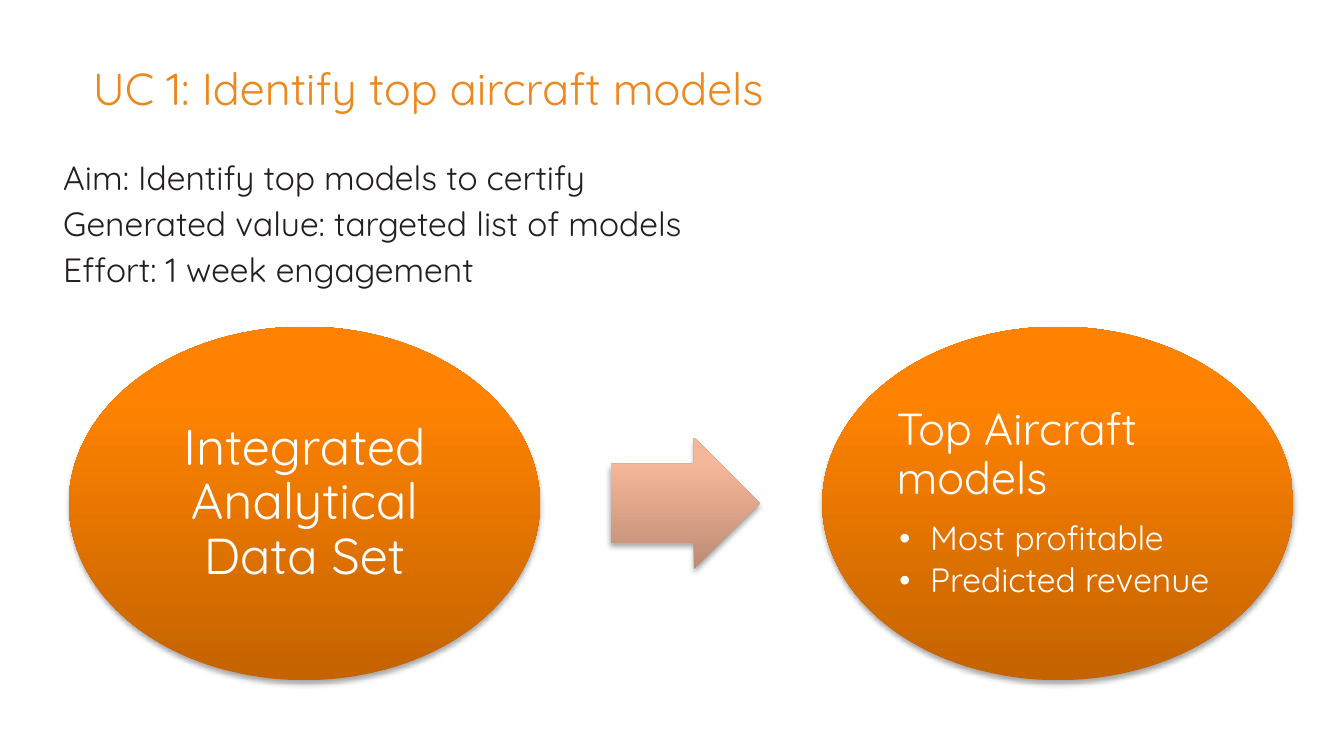
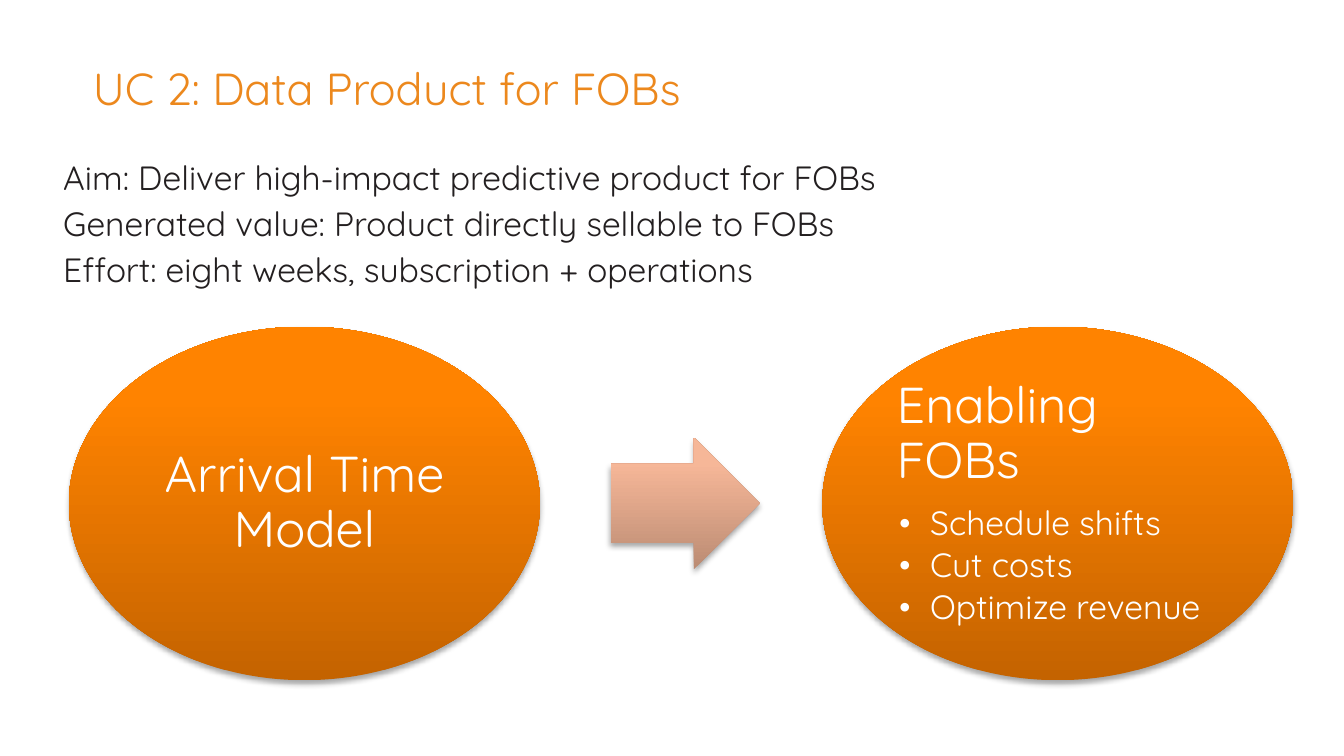
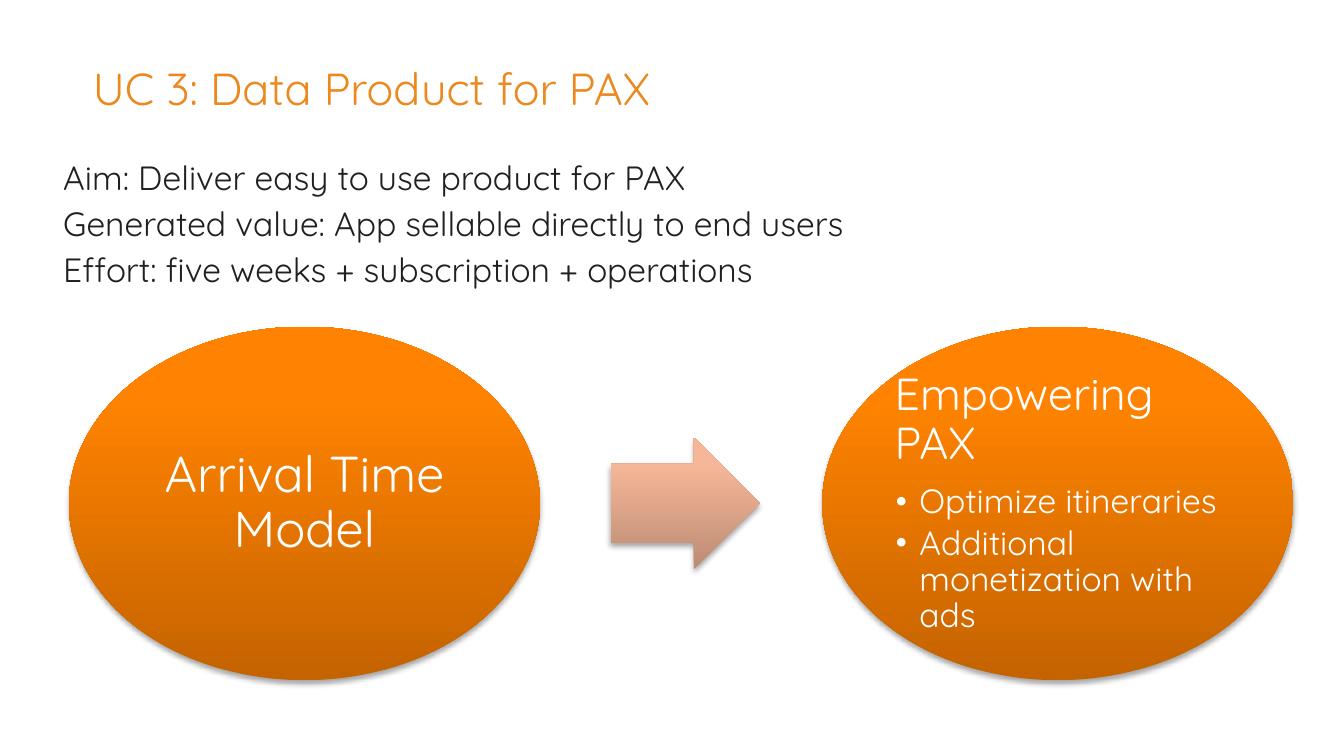
from dataclasses import dataclass
from math import sqrt

from lxml.etree import SubElement
from pptx import Presentation
from pptx.dml.color import RGBColor as Rgb
from pptx.enum.shapes import MSO_SHAPE as Shape
from pptx.enum.text import MSO_ANCHOR as Anchor, PP_ALIGN as Align
from pptx.oxml.ns import qn
from pptx.util import Pt


@dataclass(frozen=True)
class Theme:
    font: str = "Quicksand"
    heading: str = "EC881D"
    body: str = "231F20"
    on_fill: str = "FFFFFF"
    shadow: str = "000000"
    ellipse: tuple = ((0, "C46300"), (80, "FF8300"), (100, "FF8400"))
    arrow: tuple = ((0, "BB8B73"), (80, "F6B798"), (100, "F9B797"))
    title_size: int = 24
    text_size: int = 18
    label_size: int = 27


@dataclass(frozen=True)
class BulletStyle:
    margin: float
    hang: float
    first_gap: float
    next_gap: float


@dataclass(frozen=True)
class UseCase:
    title: str
    facts: tuple
    source: str
    outcome: str
    benefits: tuple
    outcome_size: int = Theme.label_size
    inset: float = 2.9
    bullets: BulletStyle = BulletStyle(18, 16.6, 9.4, 3.1)


THEME = Theme()

# Regions as left, top, width, height in points
SLIDE_SIZE = (720, 405)
TITLE_BOX = (42.7, 31, 570, 27.4)
FACTS_BOX = (26.8, 82.2, 478, 58.3)
FLOW_BOX = (36.9, 175, 656, 189.4)

USE_CASES = (
    UseCase(
        "UC 1: Identify top aircraft models",
        ("Aim: Identify top models to certify",
         "Generated value: targeted list of models",
         "Effort: 1 week engagement"),
        "Integrated Analytical Data Set",
        "Top Aircraft models",
        ("Most profitable", "Predicted revenue"),
        outcome_size=24,
    ),
    UseCase(
        "UC 2: Data Product for FOBs",
        ("Aim: Deliver high-impact predictive product for FOBs",
         "Generated value: Product directly sellable to FOBs",
         "Effort: eight weeks, subscription + operations"),
        "Arrival Time Model",
        "Enabling \nFOBs",
        ("Schedule shifts", "Cut costs", "Optimize revenue"),
    ),
    UseCase(
        "UC 3: Data Product for PAX",
        ("Aim: Deliver easy to use product for PAX",
         "Generated value: App sellable directly to end users",
         "Effort: five weeks + subscription + operations"),
        "Arrival Time Model",
        "Empowering \nPAX",
        ("Optimize itineraries", "Additional monetization with ads"),
        outcome_size=24,
        inset=1.8,
        bullets=BulletStyle(13.3, 12.8, 8.4, 2.9),
    ),
)


def points(box):
    return [Pt(length) for length in box]


def add_frame(shapes, box, inset_x=7.2, inset_y=3.6, anchor=Anchor.TOP):
    frame = shapes.add_textbox(*points(box)).text_frame
    frame.word_wrap = True
    frame.vertical_anchor = anchor
    frame.margin_left = frame.margin_right = Pt(inset_x)
    frame.margin_top = frame.margin_bottom = Pt(inset_y)
    return frame


def write(para, text, size, color, spacing, before=None, align=Align.LEFT):
    para.alignment = align
    para.line_spacing = spacing
    if before is not None:
        para.space_before = Pt(before)
    for index, line in enumerate(text.split("\n")):
        if index:
            para.add_line_break()
        run = para.add_run()
        run.text = line
        run.font.name = THEME.font
        run.font.size = Pt(size)
        run.font.color.rgb = Rgb.from_string(color)


def add_bullet(para, style):
    para.level = 1
    props = para._p.get_or_add_pPr()
    props.set("marL", str(Pt(style.margin)))
    props.set("indent", str(-Pt(style.hang)))
    tint = SubElement(props, qn("a:buClr"))
    SubElement(tint, qn("a:srgbClr"), val=THEME.on_fill)
    SubElement(props, qn("a:buFont"), typeface=THEME.font)
    SubElement(props, qn("a:buChar"), char="•")


def add_glossy(shapes, preset, box, stops):
    """Add a preset shape with a vertical gradient and a soft drop shadow."""
    glossy = shapes.add_shape(preset, *points(box))
    glossy.line.fill.background()
    glossy.fill.gradient()
    glossy.fill.gradient_angle = 90
    props = glossy._element.spPr
    stop_list = props.find(qn("a:gradFill")).find(qn("a:gsLst"))
    for default_stop in list(stop_list):
        stop_list.remove(default_stop)
    for position, color in stops:
        stop = SubElement(stop_list, qn("a:gs"), pos=str(position * 1000))
        SubElement(stop, qn("a:srgbClr"), val=color)

    glossy.shadow.inherit = False
    drop = SubElement(props.find(qn("a:effectLst")), qn("a:outerShdw"),
                      blurRad=str(Pt(3.1)), dist=str(Pt(1.8)),
                      dir="5400000", rotWithShape="0")
    shade = SubElement(drop, qn("a:srgbClr"), val=THEME.shadow)
    SubElement(shade, qn("a:alpha"), val="35000")
    return glossy


def add_ellipse(shapes, box, inset):
    """Draw an ellipse and return the text frame inscribed in it."""
    left, top, width, height = box
    add_glossy(shapes, Shape.OVAL, box, THEME.ellipse)
    inner_width, inner_height = width / sqrt(2), height / sqrt(2)
    inner = (left + (width - inner_width) / 2, top + (height - inner_height) / 2,
             inner_width, inner_height)
    return add_frame(shapes, inner, inset, inset, Anchor.MIDDLE)


def add_title(slide, box, title):
    frame = add_frame(slide.shapes, box)
    write(frame.paragraphs[0], title, THEME.title_size, THEME.heading, 0.95)


def add_facts(slide, box, facts):
    frame = add_frame(slide.shapes, box)
    for index, fact in enumerate(facts):
        para = frame.add_paragraph() if index else frame.paragraphs[0]
        write(para, fact, THEME.text_size, THEME.body, 0.95, 4 if index else None)


def add_flow(slide, box, case):
    left, top, width, height = box
    shapes = slide.shapes.add_group_shape().shapes
    ellipse_width = 252.4
    arrow_gap, arrow_width, arrow_height = 37.8, 80, 70.6

    # Source ellipse
    source = add_ellipse(shapes, (left, top, ellipse_width, height), case.inset)
    write(source.paragraphs[0], case.source, THEME.label_size, THEME.on_fill,
          0.9, align=Align.CENTER)

    # Arrow from source to outcome
    arrow_box = (left + ellipse_width + arrow_gap, top + (height - arrow_height) / 2,
                 arrow_width, arrow_height)
    arrow = add_glossy(shapes, Shape.RIGHT_ARROW, arrow_box, THEME.arrow)
    arrow.adjustments[0] = 0.6
    arrow.adjustments[1] = 0.5

    # Outcome ellipse with its benefits
    outcome_box = (left + width - ellipse_width, top, ellipse_width, height)
    outcome = add_ellipse(shapes, outcome_box, case.inset)
    write(outcome.paragraphs[0], case.outcome, case.outcome_size, THEME.on_fill, 0.9)
    for index, benefit in enumerate(case.benefits):
        para = outcome.add_paragraph()
        add_bullet(para, case.bullets)
        gap = case.bullets.next_gap if index else case.bullets.first_gap
        write(para, benefit, THEME.text_size, THEME.on_fill, 0.9, gap)


def add_use_case(deck, case):
    slide = deck.slides.add_slide(deck.slide_layouts[6])
    add_flow(slide, FLOW_BOX, case)
    add_title(slide, TITLE_BOX, case.title)
    add_facts(slide, FACTS_BOX, case.facts)


def main():
    deck = Presentation()
    deck.slide_width, deck.slide_height = points(SLIDE_SIZE)
    for case in USE_CASES:
        add_use_case(deck, case)
    deck.save("out.pptx")


if __name__ == "__main__":
    main()
